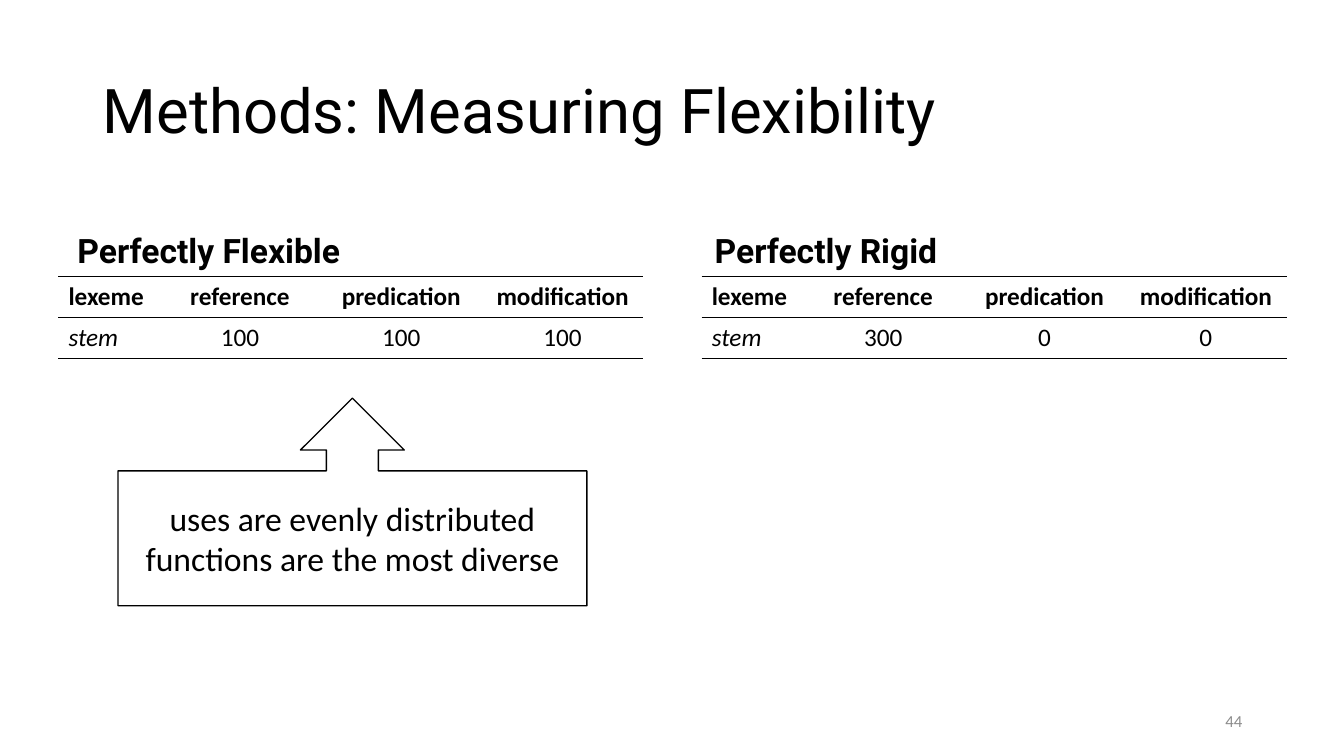
from dataclasses import dataclass

from lxml import etree
from pptx import Presentation
from pptx.dml.color import RGBColor
from pptx.enum.shapes import MSO_SHAPE
from pptx.enum.text import MSO_ANCHOR, PP_ALIGN
from pptx.oxml.ns import qn
from pptx.util import Inches, Pt

CALLOUT = MSO_SHAPE.UP_ARROW_CALLOUT
MIDDLE, BOTTOM = MSO_ANCHOR.MIDDLE, MSO_ANCHOR.BOTTOM
LEFT, CENTER, RIGHT = PP_ALIGN.LEFT, PP_ALIGN.CENTER, PP_ALIGN.RIGHT


@dataclass(frozen=True)
class Theme:
    ink: str = "000000"
    paper: str = "FFFFFF"
    muted: str = "8C8C8C"
    heading_font: str = "Roboto"
    body_font: str = "Calibri"
    title_size: int = 44
    large_size: int = 24
    table_size: int = 18
    number_size: int = 12
    rule_width: int = 1


THEME = Theme()
COLUMN_WIDTHS = (1, 1.6, 1.6, 1.6)
ROW_HEIGHT = 0.41
HEADERS = ("lexeme", "reference", "predication", "modification")


def write_text(frame, text, *, size, font=THEME.body_font, color=THEME.ink,
               bold=False, italic=False, align=LEFT, spacing=1.0):
    frame.word_wrap = True
    for index, line in enumerate(text.split("\n")):
        para = frame.paragraphs[0] if index == 0 else frame.add_paragraph()
        para.alignment = align
        para.line_spacing = spacing
        span = para.add_run()
        span.text = line
        span.font.size = Pt(size)
        span.font.name = font
        span.font.bold = bold
        span.font.italic = italic
        span.font.color.rgb = RGBColor.from_string(color)


def add_text(page, text, left, top, width, height, *, anchor=MIDDLE, **style):
    box = page.shapes.add_textbox(Inches(left), Inches(top), Inches(width), Inches(height))
    box.text_frame.vertical_anchor = anchor
    write_text(box.text_frame, text, **style)


def set_rules(cell):
    properties = cell._tc.get_or_add_tcPr()
    for side in ("lnL", "lnR", "lnT", "lnB"):
        line = etree.SubElement(properties, qn(f"a:{side}"), w=str(Pt(THEME.rule_width)))
        if side in ("lnT", "lnB"):
            fill = etree.SubElement(line, qn("a:solidFill"))
            etree.SubElement(fill, qn("a:srgbClr"), val=THEME.ink)
        else:
            etree.SubElement(line, qn("a:noFill"))


def add_counts_table(page, left, top, counts):
    rows = (HEADERS, ("stem", *counts))
    table = page.shapes.add_table(
        len(rows), len(HEADERS), Inches(left), Inches(top),
        Inches(sum(COLUMN_WIDTHS)), Inches(ROW_HEIGHT * len(rows))).table
    table.horz_banding = False
    for column, width in zip(table.columns, COLUMN_WIDTHS):
        column.width = Inches(width)
    for row_index, values in enumerate(rows):
        table.rows[row_index].height = Inches(ROW_HEIGHT)
        for column_index, value in enumerate(values):
            cell = table.cell(row_index, column_index)
            cell.vertical_anchor = MIDDLE
            set_rules(cell)
            cell.fill.background()
            is_header, is_label = row_index == 0, column_index == 0
            write_text(cell.text_frame, str(value), size=THEME.table_size,
                       bold=is_header, italic=is_label and not is_header,
                       align=LEFT if is_label else CENTER)


def add_callout(page, text, left, top, width, height):
    callout = page.shapes.add_shape(
        CALLOUT, Inches(left), Inches(top), Inches(width), Inches(height))
    callout.shadow.inherit = False
    callout.fill.solid()
    callout.fill.fore_color.rgb = RGBColor.from_string(THEME.paper)
    callout.line.color.rgb = RGBColor.from_string(THEME.ink)
    callout.line.width = Pt(THEME.rule_width)
    callout.text_frame.vertical_anchor = MIDDLE
    write_text(callout.text_frame, text, size=THEME.large_size, align=CENTER)


def main():
    deck = Presentation()
    deck.slide_width, deck.slide_height = Inches(13.33), Inches(7.5)
    page = deck.slides.add_slide(deck.slide_layouts[6])

    add_text(page, "Methods: Measuring Flexibility", 0.92, 0.4, 11.5, 1.45,
             size=THEME.title_size, font=THEME.heading_font, spacing=0.9)
    for heading, heading_left, table_left, counts in (
        ("Perfectly Flexible", 0.67, 0.58, (100, 100, 100)),
        ("Perfectly Rigid", 6.99, 6.96, (300, 0, 0)),
    ):
        add_text(page, heading, heading_left, 1.84, 5.65, 0.9, anchor=BOTTOM, bold=True,
                 size=THEME.large_size, font=THEME.heading_font, spacing=0.9)
        add_counts_table(page, table_left, 2.74, counts)
    add_callout(page, "uses are evenly distributed\nfunctions are the most diverse",
                1.17, 3.95, 4.65, 2.06)
    add_text(page, "44", 9.42, 6.95, 3, 0.4, size=THEME.number_size,
             color=THEME.muted, align=RIGHT)

    deck.save("out.pptx")


if __name__ == "__main__":
    main()
